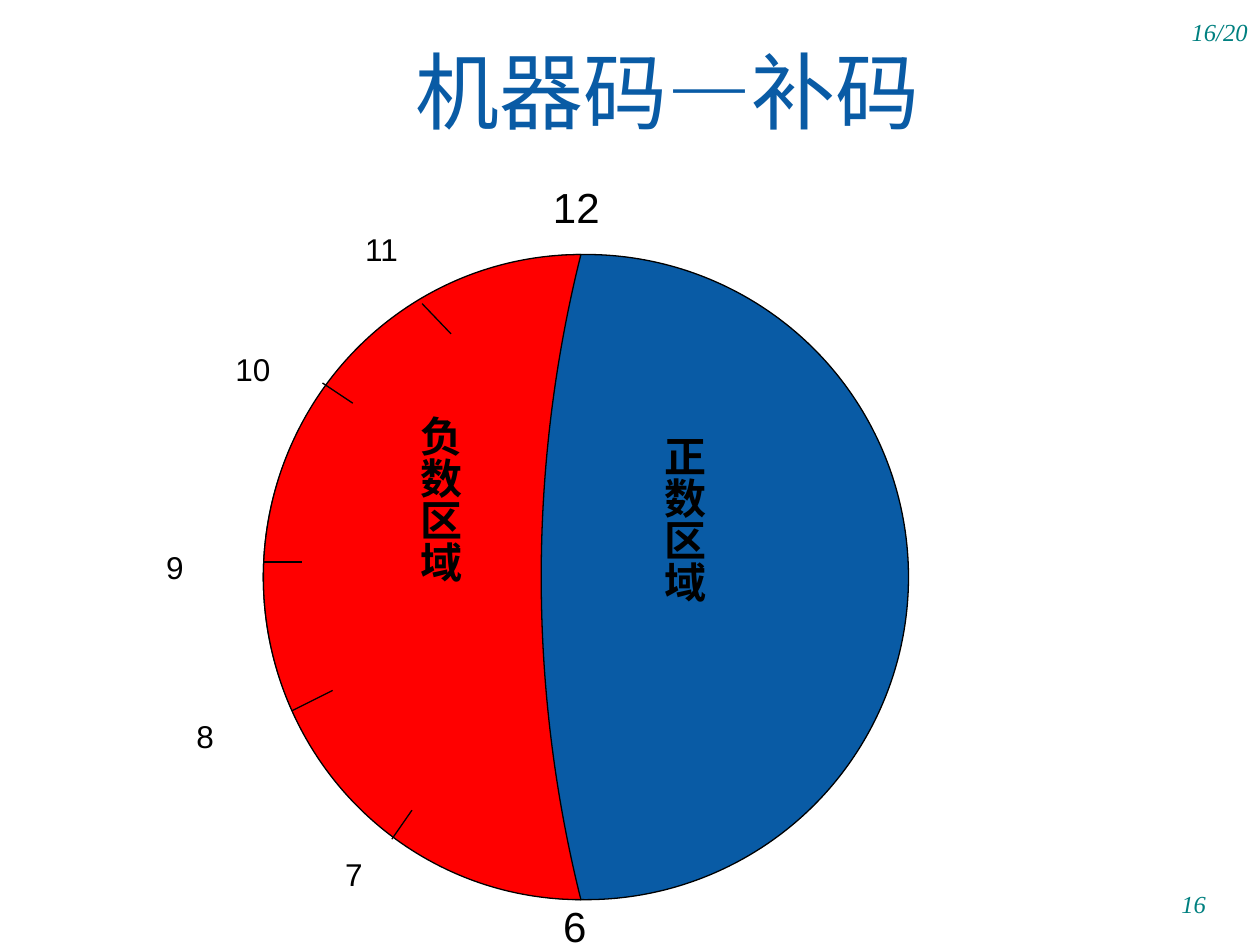
from lxml import etree
from pptx import Presentation
from pptx.dml.color import RGBColor
from pptx.enum.shapes import MSO_CONNECTOR, MSO_SHAPE
from pptx.enum.text import MSO_ANCHOR, PP_ALIGN
from pptx.oxml.ns import qn
from pptx.util import Inches, Pt

STRAIGHT = MSO_CONNECTOR.STRAIGHT
ELLIPSE, MOON = MSO_SHAPE.OVAL, MSO_SHAPE.MOON
TOP, MIDDLE, BOTTOM = MSO_ANCHOR.TOP, MSO_ANCHOR.MIDDLE, MSO_ANCHOR.BOTTOM
LEFT, CENTER, RIGHT = PP_ALIGN.LEFT, PP_ALIGN.CENTER, PP_ALIGN.RIGHT

COLORS = {
    "blue": "095BA5",
    "red": "FF0000",
    "black": "000000",
    "teal": "008080",
}
HOUR_LABELS = [
    ("12", 4.29, 1.39, 0.71, 0.5, 24),
    ("11", 2.8, 1.78, 0.79, 0.4, 18),
    ("10", 1.77, 2.73, 0.79, 0.4, 18),
    ("9", 1.22, 4.3, 0.79, 0.4, 18),
    ("8", 1.46, 5.64, 0.79, 0.4, 18),
    ("7", 2.64, 6.74, 0.55, 0.4, 18),
    ("6", 4.37, 7.1, 0.71, 0.5, 24),
]
HOUR_TICKS = [
    (3.35, 2.41, 3.58, 2.65),
    (2.56, 3.04, 2.8, 3.2),
    (2.09, 4.46, 2.4, 4.46),
    (2.32, 5.64, 2.64, 5.48),
    (3.11, 6.66, 3.27, 6.43),
]
REGION_LABELS = [("负数区域", 3.14, 3.2), ("正数区域", 5.08, 3.36)]
PAGE_NUMBERS = [("16/20", 8.75, 0, 1.25), ("16", 9, 6.92, 0.67)]


def color(name):
    return RGBColor.from_string(COLORS[name])


def format_font(paragraph, size, color_name, name="Arial"):
    paragraph.font.size = Pt(size)
    paragraph.font.name = name
    paragraph.font.color.rgb = color(color_name)


def add_title(slide, text):
    title = slide.shapes.title
    title.left, title.top = Inches(0.59), Inches(0.25)
    title.width, title.height = Inches(9.41), Inches(0.92)
    title.text_frame.text = text
    title.text_frame.vertical_anchor = MIDDLE
    paragraph = title.text_frame.paragraphs[0]
    paragraph.alignment = CENTER
    format_font(paragraph, 48, "blue")


def add_label(slide, text, left, top, width, height, size,
              color_name="black", name="Arial", alignment=LEFT, anchor=TOP):
    box = slide.shapes.add_textbox(
        Inches(left), Inches(top), Inches(width), Inches(height))
    frame = box.text_frame
    frame.word_wrap = True
    frame.vertical_anchor = anchor
    paragraph = frame.paragraphs[0]
    paragraph.text = text
    paragraph.alignment = alignment
    format_font(paragraph, size, color_name, name)
    return box


def add_region_label(slide, text, left, top):
    box = add_label(slide, text, left, top, 0.6, 2.91, 24)
    box.text_frame.paragraphs[0].font.bold = True
    box.text_frame._txBody.bodyPr.set("vert", "eaVert")


def add_page_number(slide, text, left, top, width):
    box = add_label(slide, text, left, top, width, 0.42, 14,
                    "teal", "Times New Roman", RIGHT, BOTTOM)
    box.text_frame.paragraphs[0].font.italic = True


def add_dial_part(slide, kind, width, fill):
    shape = slide.shapes.add_shape(
        kind, Inches(2.09), Inches(2.02), Inches(width), Inches(5.12))
    shape.shadow.inherit = False
    shape.fill.solid()
    shape.fill.fore_color.rgb = color(fill)
    shape.line.color.rgb = color("black")
    shape.line.width = Pt(0.75)
    return shape


def add_tick(slide, *ends):
    tick = slide.shapes.add_connector(STRAIGHT, *map(Inches, ends))
    tick.line.color.rgb = color("black")
    tick.line.width = Pt(0.75)
    etree.SubElement(tick._element.spPr, qn("a:effectLst"))


def main():
    presentation = Presentation()
    presentation.slide_width = Inches(10)
    presentation.slide_height = Inches(7.5)
    slide = presentation.slides.add_slide(presentation.slide_layouts[5])
    add_title(slide, "机器码—补码")
    for page_number in PAGE_NUMBERS:
        add_page_number(slide, *page_number)
    add_dial_part(slide, ELLIPSE, 5.12, "blue")
    negative_half = add_dial_part(slide, MOON, 2.52, "red")
    negative_half.adjustments[0] = 0.875
    for region in REGION_LABELS:
        add_region_label(slide, *region)
    for tick in HOUR_TICKS:
        add_tick(slide, *tick)
    for label in HOUR_LABELS:
        add_label(slide, *label)
    presentation.save("out.pptx")


if __name__ == "__main__":
    main()
